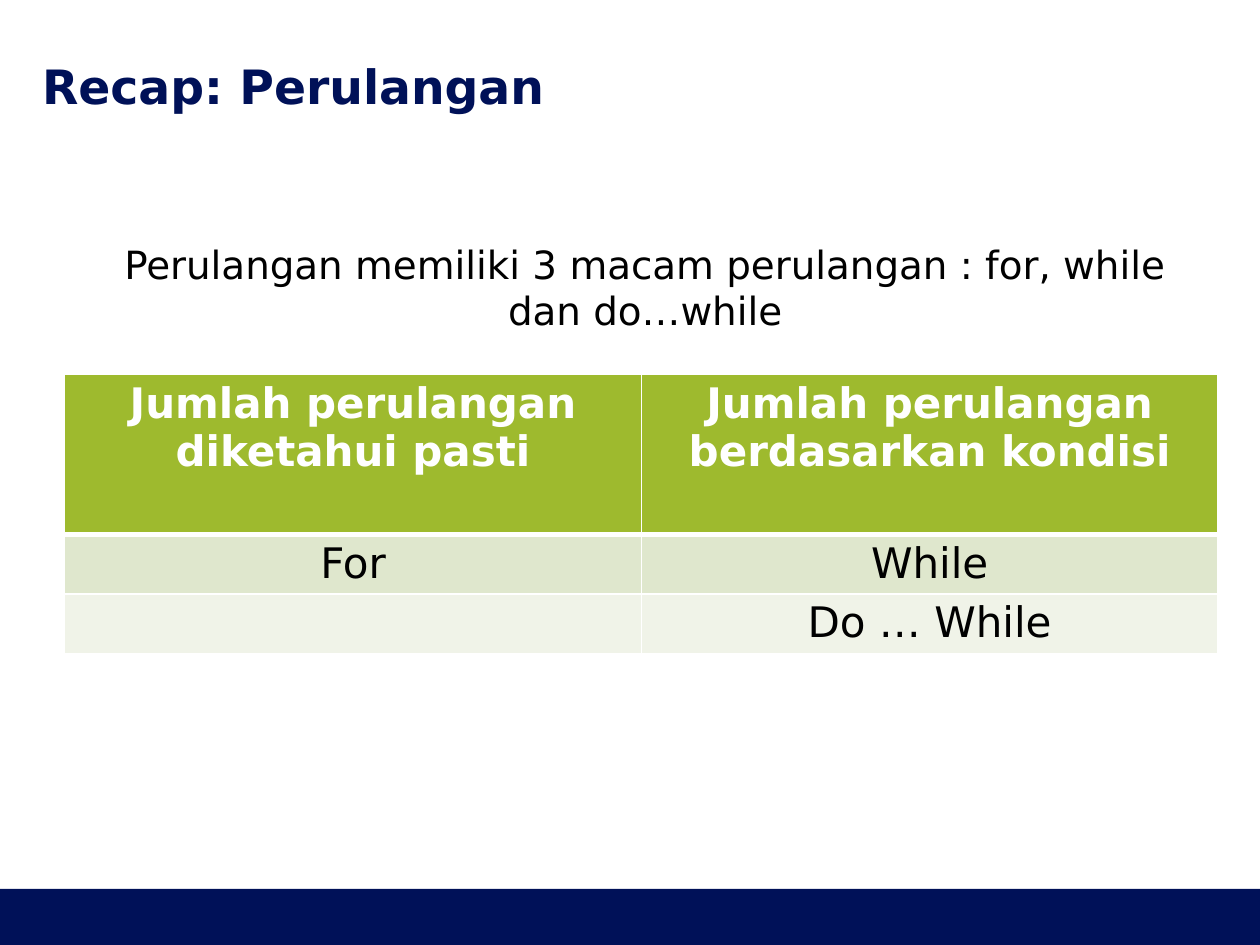
from pptx import Presentation
from pptx.dml.color import RGBColor
from pptx.enum.shapes import MSO_SHAPE
from pptx.enum.text import MSO_ANCHOR, PP_ALIGN
from pptx.oxml import parse_xml
from pptx.oxml.ns import nsdecls
from pptx.util import Pt

COLORS = {
    "navy": "001158",
    "white": "FFFFFF",
    "black": "000000",
    "green": "9EBA2E",
    "band": "DFE7CD",
    "pale": "F0F3E8",
}
WIDTH, HEIGHT = 720, 540


def color(name):
    return RGBColor.from_string(COLORS[name])


def write(frame, text, size=24, ink="black", bold=False,
          align=PP_ALIGN.CENTER, indent=0):
    para = frame.paragraphs[0]
    para.alignment = align
    if indent:
        para._p.get_or_add_pPr().set("marL", str(Pt(indent)))
    run = para.add_run()
    run.text = text
    font = run.font
    font.name = "DejaVu Sans"
    font.size = Pt(size)
    font.bold = bold
    font.color.rgb = color(ink)


def edge(cell, widths):
    """Draw white cell borders; widths are left, right, top, bottom in points."""
    props = cell._tc.get_or_add_tcPr()
    for index, (side, width) in enumerate(zip("LRTB", widths)):
        line = parse_xml(
            f'<a:ln{side} {nsdecls("a")} w="{Pt(width)}"><a:solidFill>'
            f'<a:srgbClr val="{COLORS["white"]}"/></a:solidFill></a:ln{side}>'
        )
        props.insert(index, line)


class Page:
    def __init__(self, deck):
        self.slide = deck.slides.add_slide(deck.slide_layouts[6])
        self.shapes = self.slide.shapes

    def bar(self, left, top, width, height, fill):
        shape = self.shapes.add_shape(
            MSO_SHAPE.RECTANGLE, Pt(left), Pt(top), Pt(width), Pt(height))
        shape.shadow.inherit = False
        shape.fill.solid()
        shape.fill.fore_color.rgb = color(fill)
        shape.line.fill.background()

    def text(self, left, top, width, height, text, inset=(7.2, 3.6),
             anchor=MSO_ANCHOR.TOP, **style):
        box = self.shapes.add_textbox(Pt(left), Pt(top), Pt(width), Pt(height))
        frame = box.text_frame
        frame.word_wrap = True
        frame.vertical_anchor = anchor
        frame.margin_left = frame.margin_right = Pt(inset[0])
        frame.margin_top = frame.margin_bottom = Pt(inset[1])
        write(frame, text, **style)

    def table(self, left, top, width, heights, rows, fills):
        count = len(rows[0])
        table = self.shapes.add_table(
            len(rows), count, Pt(left), Pt(top), Pt(width), Pt(sum(heights))).table
        for col in table.columns:
            col.width = Pt(width / count)
        for r, (height, row, fill) in enumerate(zip(heights, rows, fills)):
            table.rows[r].height = Pt(height)
            head = r == 0
            for c, text in enumerate(row):
                cell = table.cell(r, c)
                cell.margin_left = cell.margin_right = Pt(5.4)
                cell.margin_top = cell.margin_bottom = Pt(2.6)
                cell.fill.solid()
                cell.fill.fore_color.rgb = color(fill)
                edge(cell, (1, 1, 3 if r == 1 else 1, 3 if head else 1))
                if text:
                    write(cell.text_frame, text, bold=head,
                          ink="white" if head else "black")


def main():
    deck = Presentation()
    deck.slide_width, deck.slide_height = Pt(WIDTH), Pt(HEIGHT)
    page = Page(deck)
    page.bar(0, 508, WIDTH, HEIGHT - 508, "navy")
    page.text(24, 32, 672, 34, "Recap: Perulangan", inset=(0, 0),
              anchor=MSO_ANCHOR.MIDDLE, size=27, ink="navy", bold=True,
              align=PP_ALIGN.LEFT)
    rows = [
        ("Jumlah perulangan diketahui pasti",
         "Jumlah perulangan berdasarkan kondisi"),
        ("For", "While"),
        ("", "Do … While"),
    ]
    page.table(37, 214, 659, (91.5, 34, 34), rows, ("green", "band", "pale"))
    page.text(36.8, 133.8, 659, 58,
              "Perulangan memiliki 3 macam perulangan : for, while dan do…while",
              size=22.2, indent=5)
    deck.save("out.pptx")


if __name__ == "__main__":
    main()
